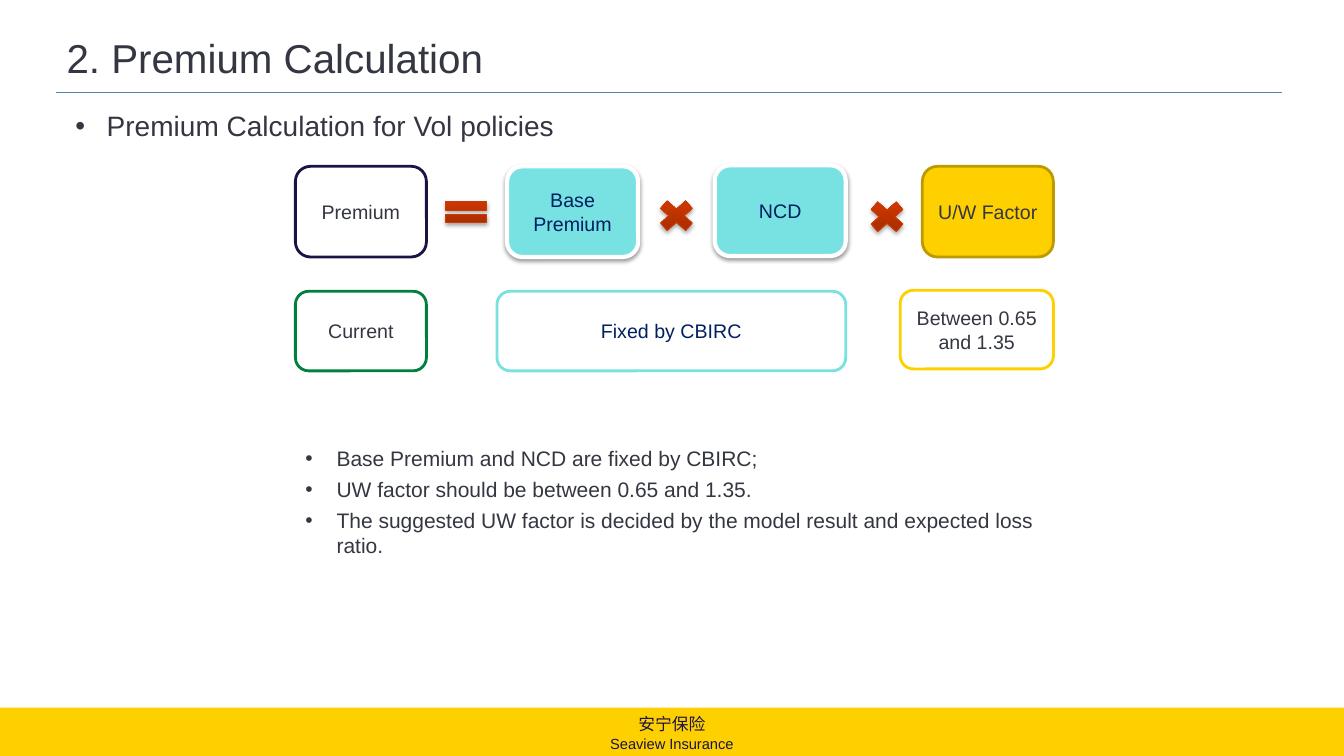
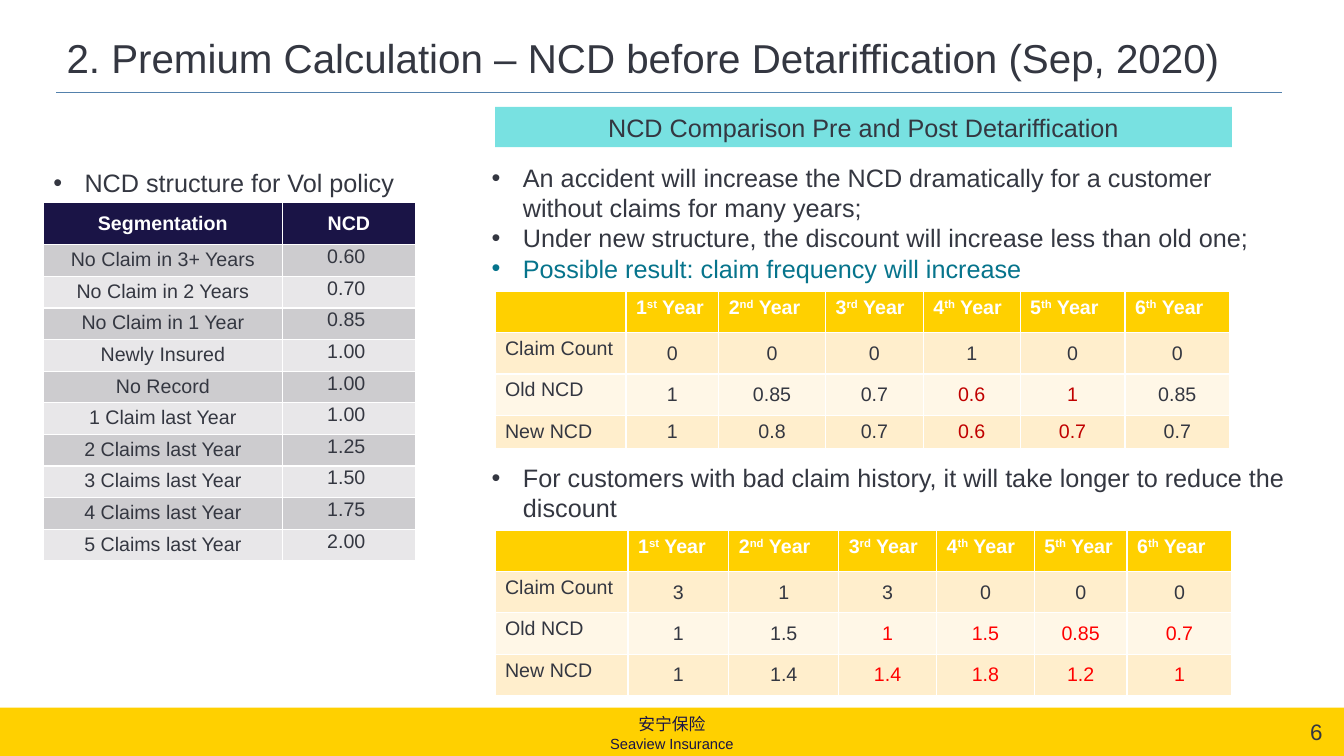
from lxml import etree
from pptx import Presentation
from pptx import util as u
from pptx.dml.color import RGBColor
from pptx.enum import shapes, text
from pptx.oxml import ns

C = {"ink": "343741", "navy": "1A1446", "blue": "002060", "teal": "06748C",
     "aqua": "78E1E1", "yellow": "FFD000", "gold": "BD9A00", "green": "008040",
     "rule": "5381AC", "white": "FFFFFF", "rust": "CF3800", "rust_dark": "9E2B00",
     "rust_light": "CD3700", "red": "C00000", "bright_red": "FF0000",
     "gray": "CDCCCF", "pale_gray": "E8E7E9", "cream": "FFEECC", "pale_cream": "FFF7E7"}
RGB = {name: RGBColor.from_string(value) for name, value in C.items()}
AL, ANC, SHP = text.PP_ALIGN, text.MSO_ANCHOR, shapes.MSO_SHAPE

prs = Presentation()
prs.slide_width, prs.slide_height = u.Inches(13.333), u.Inches(7.5)
# One column and one row are each a hundredth of the slide
COL, ROW = prs.slide_width / 100, prs.slide_height / 100


def write(tf, lines, size, color="ink", align=AL.LEFT, anchor=ANC.MIDDLE, bold=False, after=0):
    """Fill a text frame; a bar in a line separates its runs."""
    tf.word_wrap, tf.vertical_anchor = True, anchor
    for i, line in enumerate(lines):
        p = tf.paragraphs[0] if i == 0 else tf.add_paragraph()
        p.alignment, p.space_after = align, u.Pt(after)
        for part in line.split("|"):
            r = p.add_run()
            r.text = part
            font = {"name": "Arial", "size": u.Pt(size), "bold": bold}
            for key, value in font.items():
                setattr(r.font, key, value)
            r.font.color.rgb = RGB[color]


def add(s, kind, box, fill=None, line=None, width=0, shadow=None, bullets=False, lines=(), **fmt):
    """Add a preset shape, or a text box if kind is None."""
    x, y, w, h = box
    place = [int(v) for v in (x * COL, y * ROW, w * COL, h * ROW)]
    sp = s.shapes.add_shape(kind, *place) if kind else s.shapes.add_textbox(*place)
    if kind:
        sp.shadow.inherit = False
        if fill:
            sp.fill.solid()
            sp.fill.fore_color.rgb = RGB[fill]
        if line:
            sp.line.color.rgb, sp.line.width = RGB[line], u.Pt(width)
        else:
            sp.line.fill.background()
    if lines:
        write(sp.text_frame, lines, **fmt)
    if shadow:
        distance, alpha = shadow
        effects = sp.element.xpath("./p:spPr/a:effectLst")[0]
        outer = etree.SubElement(effects, ns.qn("a:outerShdw"), blurRad=str(u.Pt(3.1)),
                                 dist=str(u.Pt(distance)), dir="5400000", rotWithShape="0")
        black = etree.SubElement(outer, ns.qn("a:srgbClr"), val="000000")
        etree.SubElement(black, ns.qn("a:alpha"), val=str(alpha * 1000))
    if bullets:
        for ppr in sp.element.xpath(".//a:pPr"):
            ppr.set("marL", str(u.Inches(0.31)))
            ppr.set("indent", str(u.Inches(-0.31)))
            etree.SubElement(ppr, ns.qn("a:buFont"), typeface="Arial")
            etree.SubElement(ppr, ns.qn("a:buChar"), char="•")
    return sp


# Slides and titles
layout = prs.slide_layouts[5]
for ph in list(layout.placeholders):
    if ph.placeholder_format.type != shapes.PP_PLACEHOLDER.TITLE:
        ph.element.getparent().remove(ph.element)
    else:
        ph.left, ph.top = int(4.2 * COL), int(4 * ROW)
        ph.width, ph.height = int(90.83 * COL), int(7.07 * ROW)
titles = ["2. Premium Calculation",
          "2. Premium Calculation – NCD before Detariffication (Sep, 2020)"]
for title in titles:
    s = prs.slides.add_slide(layout)
    write(s.shapes.title.text_frame, [title], 28.8)
s1, s2 = prs.slides

# Rule and footer band, moved to the shared layout
rule = s1.shapes.add_connector(shapes.MSO_CONNECTOR.STRAIGHT, int(4.2 * COL), int(12.27 * ROW),
                               int(95.4 * COL), int(12.27 * ROW))
rule.line.color.rgb, rule.line.width = RGB["rule"], u.Pt(0.75)
etree.SubElement(rule.element.xpath("./p:spPr")[0], ns.qn("a:effectLst"))
shared = [rule, add(s1, SHP.RECTANGLE, (0, 93.6, 100, 6.4), "yellow")]
for label, top, size in [("安宁保险", 94.13, 12), ("Seaview Insurance", 96.67, 10.5)]:
    sp = add(s1, None, (42.5, top, 15, 3.33), lines=[label], size=size, color="navy",
             align=AL.CENTER)
    for side in ("left", "top", "right", "bottom"):
        setattr(sp.text_frame, "margin_" + side, 0)
    shared.append(sp)
for sp in shared:
    layout.shapes.element.append(sp.element)

# Slide 1: headline and notes
add(s1, None, (4.88, 13.73, 50.7, 5.87), bullets=True, size=20, anchor=ANC.TOP,
    lines=["Premium Calculation for Vol policies"])
add(s1, SHP.RECTANGLE, (21.98, 54.53, 59.55, 23.73), "white", "white", 0.5, bullets=True,
    size=15, after=4,
    lines=["Base Premium and NCD are fixed by CBIRC;",
           "UW factor should be between 0.65 and 1.35.",
           "The suggested UW factor is decided by the model result and expected loss ratio."])

# Slide 1: formula boxes, with their values below
boxes = [("Premium", (21.98, 22, 9.75, 12), "white", "navy", 2, "ink"),
         ("Base Premium", (37.73, 22, 9.75, 12), "aqua", "white", 3, "blue"),
         ("NCD", (53.18, 21.87, 9.75, 12), "aqua", "white", 3, "blue"),
         ("U/W Factor", (68.63, 22, 9.75, 12), "yellow", "gold", 2, "ink"),
         ("Current", (21.98, 38.53, 9.75, 10.53), "white", "green", 2, "ink"),
         ("Fixed by CBIRC", (36.98, 38.53, 25.95, 10.53), "white", "aqua", 2, "blue"),
         ("Between 0.65 and 1.35", (66.98, 38.4, 11.4, 10.4), "white", "yellow", 2, "ink")]
for label, box, fill, line, width, color in boxes:
    add(s1, SHP.ROUNDED_RECTANGLE, box, fill, line, width, lines=[label], size=14,
        color=color, align=AL.CENTER, shadow=(1.6, 38) if fill == "aqua" else None)

# Slide 1: operators
for kind, box in [(SHP.MATH_EQUAL, (32.63, 25.73, 4.13, 4.67)),
                  (SHP.MATH_MULTIPLY, (48.53, 25.73, 3.6, 5.6)),
                  (SHP.MATH_MULTIPLY, (64.2, 25.87, 3.6, 5.6))]:
    sp = add(s1, kind, box, line="rust", width=0.75, shadow=(1.8, 35))
    sp.fill.gradient()
    sp.fill.gradient_angle = 90
    for stop, color, position in zip(sp.fill.gradient_stops, ("rust_dark", "rust_light"), (0, 0.8)):
        stop.color.rgb, stop.position = RGB[color], position

# Slide 2: banner, bullets and page number
add(s2, SHP.RECTANGLE, (36.83, 14.13, 54.83, 5.33), "aqua", size=18, align=AL.CENTER,
    lines=["NCD Comparison Pre and Post Detariffication"])
add(s2, None, (3.23, 21.47, 27.15, 5.33), bullets=True, size=18, anchor=ANC.TOP,
    lines=["NCD structure for Vol policy"])
findings = add(
    s2, None, (35.85, 20.8, 60.9, 17.47), bullets=True, size=18, anchor=ANC.TOP,
    lines=["An accident will increase the NCD dramatically for a customer without claims for many years;",
           "Under new structure, the discount will increase less than old one;",
           "Possible result: claim frequency will increase"])
findings.text_frame.paragraphs[2].runs[0].font.color.rgb = RGB["teal"]
add(s2, None, (35.85, 60.53, 63.3, 9.47), bullets=True, size=18, anchor=ANC.TOP,
    lines=["For customers with bad claim history, it will take longer to reduce the discount"])
add(s2, None, (91.65, 95.2, 7.5, 3.2), lines=["6"], size=16, align=AL.RIGHT)

# Slide 2: tables; red cells lie in the last two rows, in the listed columns
years = ["", "1|st| Year", "2|nd| Year", "3|rd| Year", "4|th| Year", "5|th| Year", "6|th| Year"]
segments = [["Segmentation", "NCD"],
            ["No Claim in 3+ Years", "0.60"], ["No Claim in 2 Years", "0.70"],
            ["No Claim in 1 Year", "0.85"], ["Newly Insured", "1.00"], ["No Record", "1.00"],
            ["1 Claim last Year", "1.00"], ["2 Claims last Year", "1.25"],
            ["3 Claims last Year", "1.50"], ["4 Claims last Year", "1.75"],
            ["5 Claims last Year", "2.00"]]
one_claim = [years,
             ["Claim Count", "0", "0", "0", "1", "0", "0"],
             ["Old NCD", "1", "0.85", "0.7", "0.6", "1", "0.85"],
             ["New NCD", "1", "0.8", "0.7", "0.6", "0.7", "0.7"]]
many_claims = [years,
               ["Claim Count", "3", "1", "3", "0", "0", "0"],
               ["Old NCD", "1", "1.5", "1", "1.5", "0.85", "0.7"],
               ["New NCD", "1", "1.4", "1.4", "1.8", "1.2", "1"]]
tables = [
    dict(data=segments, left=3.23, top=26.8, cols=[17.78, 9.9], rows=[5.6] + [4.07] * 10,
         head="navy", bands=("gray", "pale_gray"), red=None, red_cols=()),
    dict(data=one_claim, left=36.83, top=38.53, cols=[9.75, 6.9, 7.95, 7.28, 7.2, 7.8, 7.8],
         rows=[5.47] * 3 + [4.27],
         head="yellow", bands=("cream", "pale_cream"), red="red", red_cols=(4, 5)),
    dict(data=many_claims, left=36.83, top=70.13, cols=[9.9, 7.5, 8.18, 7.28, 7.28, 6.9, 7.8],
         rows=[5.47] * 4,
         head="yellow", bands=("cream", "pale_cream"), red="bright_red", red_cols=(3, 4, 5, 6))]
for t in tables:
    frame = s2.shapes.add_table(len(t["rows"]), len(t["cols"]), int(t["left"] * COL),
                                int(t["top"] * ROW), int(sum(t["cols"]) * COL),
                                int(sum(t["rows"]) * ROW))
    table, narrow = frame.table, t["data"] is segments
    for column, width in zip(table.columns, t["cols"]):
        column.width = int(width * COL)
    for row, height in zip(table.rows, t["rows"]):
        row.height = int(height * ROW)
    for i, values in enumerate(t["data"]):
        for j, value in enumerate(values):
            cell = table.cell(i, j)
            cell.fill.solid()
            cell.fill.fore_color.rgb = RGB[t["bands"][(i - 1) % 2] if i else t["head"]]
            margins = {}
            if narrow:
                margins = {"margin_top": 0.04, "margin_bottom": 0.04}
                if i and j:
                    margins = {"margin_left": 0.01, "margin_top": 0.01,
                               "margin_right": 0.06, "margin_bottom": 0}
            for key, inches in margins.items():
                setattr(cell, key, u.Inches(inches))
            if not value:
                continue
            centred = narrow or (i and j)
            middle = i == 0 if narrow else centred
            color = "white" if i == 0 else t["red"] if i > 1 and j in t["red_cols"] else "ink"
            write(cell.text_frame, [value], 14, color, AL.CENTER if centred else AL.LEFT,
                  ANC.MIDDLE, bold=i == 0)
            cell.vertical_anchor = ANC.MIDDLE if middle else ANC.TOP
    # Raised ordinal endings
    for rpr in frame.element.xpath(".//a:p[count(a:r)=3]/a:r[2]/a:rPr"):
        rpr.set("baseline", "30000")

prs.save("out.pptx")
